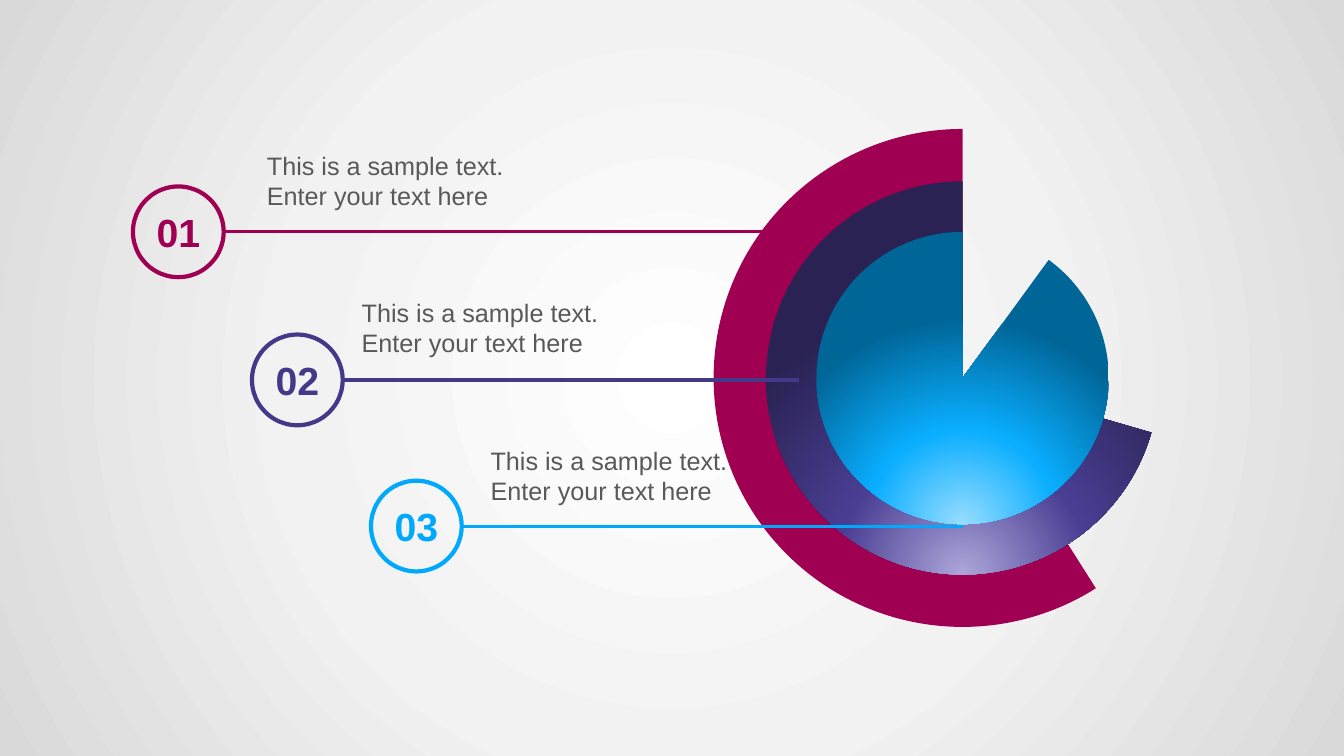
from dataclasses import dataclass
from typing import Any

import lxml.etree
import pptx
import pptx.dml.color
import pptx.enum.shapes
import pptx.enum.text
import pptx.oxml.ns
import pptx.util

Pt = pptx.util.Pt
Stops = tuple[tuple[int, str], ...]


@dataclass(frozen=True)
class Theme:
    font: str = "Arial"
    text: str = "595959"
    crimson: str = "9F0052"
    violet: str = "443988"
    azure: str = "00A9FC"
    page: Stops = ((0, "FFFFFF"), (50, "F2F2F2"), (100, "D9D9D9"))
    violet_glow: Stops = ((0, "ADA6DA"), (46, "4A3E93"), (100, "292252"))
    azure_glow: Stops = ((0, "98DDFF"), (46, "0AAEFF"), (100, "006597"))
    body_size: float = 18
    number_size: float = 28


@dataclass(frozen=True)
class Pie:
    diameter: float
    start_degrees: float
    fill: str | Stops


@dataclass(frozen=True)
class Callout:
    number: str
    color: str
    circle_left: float
    middle: float
    line_end: float
    text_left: float
    text_top: float


THEME = Theme()
CENTER_X, CENTER_Y = 687.6, 270
CIRCLE = 64.8
TEXT_WIDTH, TEXT_HEIGHT = 227.5, 51
SAMPLE = "This is a sample text. Enter your text here"

PIES = (
    Pie(355.7, 57.64, THEME.crimson),
    Pie(280.8, 16.15, THEME.violet_glow),
    Pie(208.8, 306.1, THEME.azure_glow),
)
CALLOUTS = (
    Callout("01", THEME.crimson, 95, 165.6, 571, 183.6, 103.7),
    Callout("02", THEME.violet, 180, 271.4, 571, 251.3, 208.8),
    Callout("03", THEME.azure, 265, 375.8, CENTER_X, 343.4, 314.6),
)


def rgb(color: str) -> pptx.dml.color.RGBColor:
    return pptx.dml.color.RGBColor.from_string(color)


def fill_radial(owner: Any, fill: Any, stops: Stops, focus_top: int) -> None:
    """Fill with a circular gradient whose focus lies focus_top percent down."""
    fill.gradient()
    gradient = owner.element.find(".//" + pptx.oxml.ns.qn("a:gradFill"))
    for child in list(gradient):
        gradient.remove(child)

    def add(parent: Any, tag: str, **attributes: str) -> Any:
        return lxml.etree.SubElement(parent, pptx.oxml.ns.qn(tag), attributes)

    stop_list = add(gradient, "a:gsLst")
    for position, color in stops:
        stop = add(stop_list, "a:gs", pos=str(position * 1000))
        add(stop, "a:srgbClr", val=color)
    shade = add(gradient, "a:path", path="circle")
    add(shade, "a:fillToRect", l="50000", t=str(focus_top * 1000),
        r="50000", b=str((100 - focus_top) * 1000))


def add_span(para: Any, text: str, size: float, color: str, bold: bool = False) -> None:
    span = para.add_run()
    span.text = text
    span.font.name = THEME.font
    span.font.size = Pt(size)
    span.font.bold = bold
    span.font.color.rgb = rgb(color)


def draw_pie(shapes: Any, pie: Pie) -> None:
    radius = pie.diameter / 2
    wedge = shapes.add_shape(
        pptx.enum.shapes.MSO_SHAPE.PIE, Pt(CENTER_X - radius), Pt(CENTER_Y - radius),
        Pt(pie.diameter), Pt(pie.diameter))
    # One adjustment unit is 100000, one degree is 60000.
    wedge.adjustments[0] = pie.start_degrees * 0.6
    wedge.adjustments[1] = 270 * 0.6
    wedge.shadow.inherit = False
    wedge.line.fill.background()
    if isinstance(pie.fill, str):
        wedge.fill.solid()
        wedge.fill.fore_color.rgb = rgb(pie.fill)
    else:
        fill_radial(wedge, wedge.fill, pie.fill, focus_top=130)


def draw_marker(shapes: Any, callout: Callout) -> None:
    """Draw the numbered circle and its leader line."""
    leader = shapes.add_connector(
        pptx.enum.shapes.MSO_CONNECTOR.STRAIGHT,
        Pt(callout.circle_left + CIRCLE), Pt(callout.middle),
        Pt(callout.line_end), Pt(callout.middle))
    leader.line.color.rgb = rgb(callout.color)
    leader.line.width = Pt(2.25)
    properties = leader.element.find(pptx.oxml.ns.qn("p:spPr"))
    lxml.etree.SubElement(properties, pptx.oxml.ns.qn("a:effectLst"))

    circle = shapes.add_shape(
        pptx.enum.shapes.MSO_SHAPE.OVAL, Pt(callout.circle_left),
        Pt(callout.middle - CIRCLE / 2), Pt(CIRCLE), Pt(CIRCLE))
    circle.shadow.inherit = False
    circle.fill.background()
    circle.line.color.rgb = rgb(callout.color)
    circle.line.width = Pt(3)
    frame = circle.text_frame
    frame.margin_left = frame.margin_right = 0
    frame.vertical_anchor = pptx.enum.text.MSO_ANCHOR.MIDDLE
    para = frame.paragraphs[0]
    para.alignment = pptx.enum.text.PP_ALIGN.CENTER
    add_span(para, callout.number, THEME.number_size, callout.color, bold=True)


def draw_text(shapes: Any, callout: Callout) -> None:
    box = shapes.add_textbox(
        Pt(callout.text_left), Pt(callout.text_top), Pt(TEXT_WIDTH), Pt(TEXT_HEIGHT))
    box.text_frame.word_wrap = True
    box.text_frame.auto_size = pptx.enum.text.MSO_AUTO_SIZE.SHAPE_TO_FIT_TEXT
    add_span(box.text_frame.paragraphs[0], SAMPLE, THEME.body_size, THEME.text)


def main() -> None:
    deck = pptx.Presentation()
    deck.slide_width, deck.slide_height = Pt(960), Pt(540)
    page = deck.slides.add_slide(deck.slide_layouts[6])
    fill_radial(page, page.background.fill, THEME.page, focus_top=50)

    pie_group = page.shapes.add_group_shape()
    for pie in PIES:
        draw_pie(pie_group.shapes, pie)
    for callout in CALLOUTS:
        draw_marker(page.shapes.add_group_shape().shapes, callout)
    for callout in CALLOUTS:
        draw_text(page.shapes, callout)
    deck.save("out.pptx")


if __name__ == "__main__":
    main()
